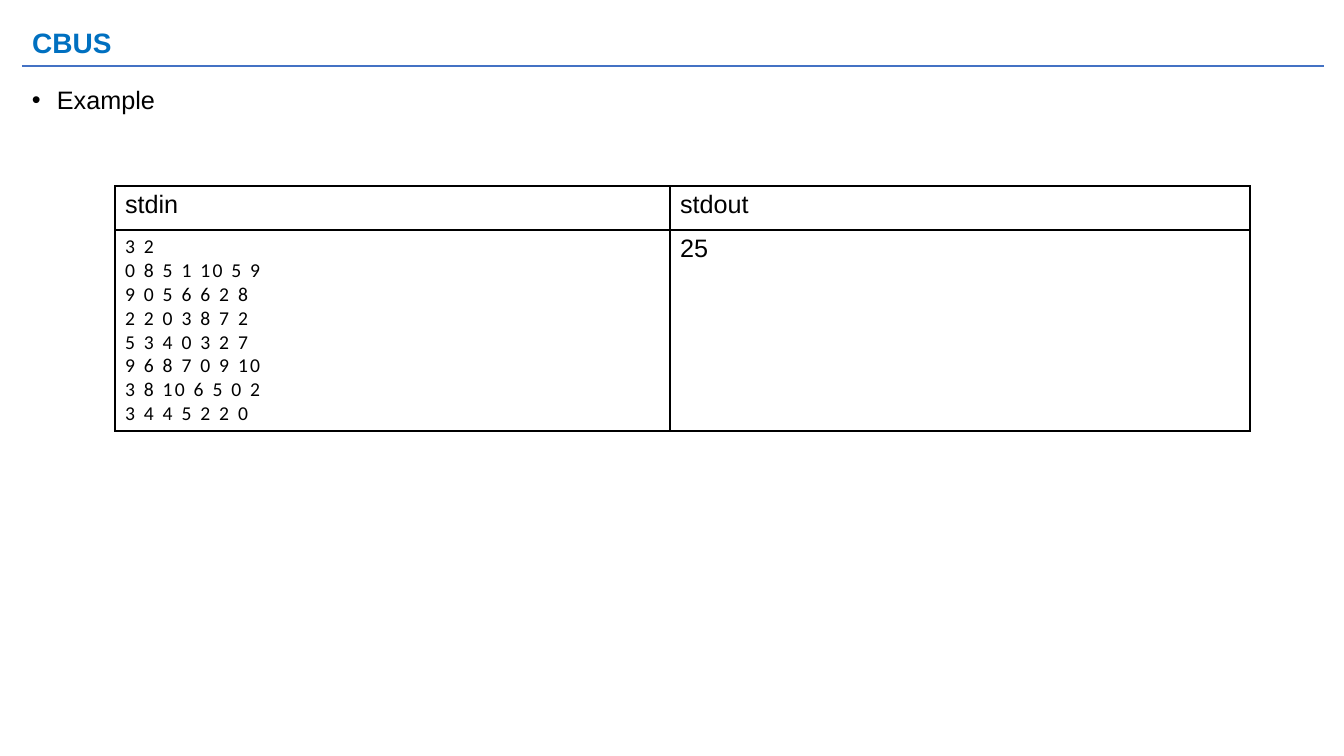
from dataclasses import dataclass

from lxml import etree
from pptx import Presentation
from pptx.dml.color import RGBColor
from pptx.enum.shapes import MSO_CONNECTOR
from pptx.enum.text import MSO_ANCHOR, PP_ALIGN
from pptx.oxml.ns import qn
from pptx.util import Pt

STRAIGHT = MSO_CONNECTOR.STRAIGHT
MIDDLE, TOP = MSO_ANCHOR.MIDDLE, MSO_ANCHOR.TOP
LEFT = PP_ALIGN.LEFT
TITLE_ONLY = 5
EMU_PER_PX = 914400 / 100.8


@dataclass(frozen=True)
class Theme:
    """Colours, fonts and sizes of the slide."""
    title: str = "0070C0"
    rule: str = "4472C4"
    ink: str = "000000"
    paper: str = "FFFFFF"
    sans: str = "Arial"
    data: str = "Calibri"
    title_size: int = 20
    body_size: int = 18
    data_size: int = 14
    data_tracking: int = 158
    rule_width: float = 0.75
    border_width: float = 0.96


THEME = Theme()
TITLE_FONT = {"name": THEME.sans, "size": Pt(THEME.title_size), "bold": True}
BODY_FONT = {"name": THEME.sans, "size": Pt(THEME.body_size), "bold": False}
DATA_FONT = {"name": THEME.data, "size": Pt(THEME.data_size), "bold": False}

STDIN_LINES = [
    "3 2",
    "0 8 5 1 10 5 9",
    "9 0 5 6 6 2 8",
    "2 2 0 3 8 7 2",
    "5 3 4 0 3 2 7",
    "9 6 8 7 0 9 10",
    "3 8 10 6 5 0 2",
    "3 4 4 5 2 2 0",
]


def px(n):
    """Convert pixels to EMU."""
    return round(n * EMU_PER_PX)


def set_attrs(obj, values):
    """Set each attribute named in a dict."""
    for name, value in values.items():
        setattr(obj, name, value)


def write_lines(tf, lines, font, color=THEME.ink, line_spacing=1.0, tracking=None):
    """Fill a text frame with one paragraph per line."""
    for i, line in enumerate(lines):
        p = tf.add_paragraph() if i else tf.paragraphs[0]
        set_attrs(p, {"alignment": LEFT, "line_spacing": line_spacing})
        r = p.add_run()
        r.text = line
        set_attrs(r.font, font)
        r.font.color.rgb = RGBColor.from_string(color)
        if tracking:
            r.font._element.set("spc", str(tracking))


def add_title(slide, text, box):
    """Place and format the title placeholder."""
    sp = slide.shapes.title
    set_attrs(sp, dict(zip(("left", "top", "width", "height"), map(px, box))))
    set_attrs(sp.text_frame, {"vertical_anchor": MIDDLE, "word_wrap": True})
    write_lines(sp.text_frame, [text], TITLE_FONT, THEME.title, 0.9)


def add_rule(slide, x1, x2, y):
    """Draw the horizontal rule below the title."""
    line = slide.shapes.add_connector(STRAIGHT, px(x1), px(y), px(x2), px(y))
    line.line.color.rgb = RGBColor.from_string(THEME.rule)
    line.line.width = Pt(THEME.rule_width)
    etree.SubElement(line._element.spPr, qn("a:effectLst"))


def add_bullets(slide, lines, box, indent):
    """Add a text box of bulleted lines."""
    tf = slide.shapes.add_textbox(*map(px, box)).text_frame
    set_attrs(tf, {"vertical_anchor": TOP, "word_wrap": True})
    write_lines(tf, lines, BODY_FONT, line_spacing=0.9)
    for p in tf.paragraphs:
        pPr = p._p.get_or_add_pPr()
        pPr.set("marL", str(px(indent)))
        pPr.set("indent", str(-px(indent)))
        etree.SubElement(pPr, qn("a:buFont"), typeface=THEME.sans)
        etree.SubElement(pPr, qn("a:buChar"), char="•")


def add_borders(cell):
    """Draw a solid border on all four sides of a cell."""
    tcPr = cell._tc.get_or_add_tcPr()
    for side in ("lnL", "lnR", "lnT", "lnB"):
        ln = etree.SubElement(tcPr, qn(f"a:{side}"), w=str(Pt(THEME.border_width)))
        fill = etree.SubElement(ln, qn("a:solidFill"))
        etree.SubElement(fill, qn("a:srgbClr"), val=THEME.ink)


def add_example_table(slide, left, top, widths, heights, rows):
    """Add a bordered table from rows of (lines, font, tracking) cells."""
    size = (px(sum(widths)), px(sum(heights)))
    frame = slide.shapes.add_table(len(rows), len(widths), px(left), px(top), *size)
    table = frame.table
    set_attrs(table, {"first_row": False, "horz_banding": False})
    for column, width in zip(table.columns, widths):
        column.width = px(width)
    for row, height, contents in zip(table.rows, heights, rows):
        row.height = px(height)
        for cell, (lines, font, tracking) in zip(row.cells, contents):
            add_borders(cell)
            cell.fill.solid()
            cell.fill.fore_color.rgb = RGBColor.from_string(THEME.paper)
            write_lines(cell.text_frame, lines, font, tracking=tracking)


def main():
    """Build and save the slide."""
    prs = Presentation()
    set_attrs(prs, {"slide_width": px(1344), "slide_height": px(756)})
    slide = prs.slides.add_slide(prs.slide_layouts[TITLE_ONLY])
    add_title(slide, "CBUS", (22, 15, 1302, 59))
    add_example_table(slide, 115, 186, (555, 580), (44, 201), [
        [(["stdin"], BODY_FONT, None), (["stdout"], BODY_FONT, None)],
        [(STDIN_LINES, DATA_FONT, THEME.data_tracking), (["25"], BODY_FONT, None)],
    ])
    add_rule(slide, 22, 1324, 66)
    add_bullets(slide, ["Example"], (22, 83, 467, 647), 25)
    prs.save("out.pptx")


if __name__ == "__main__":
    main()
